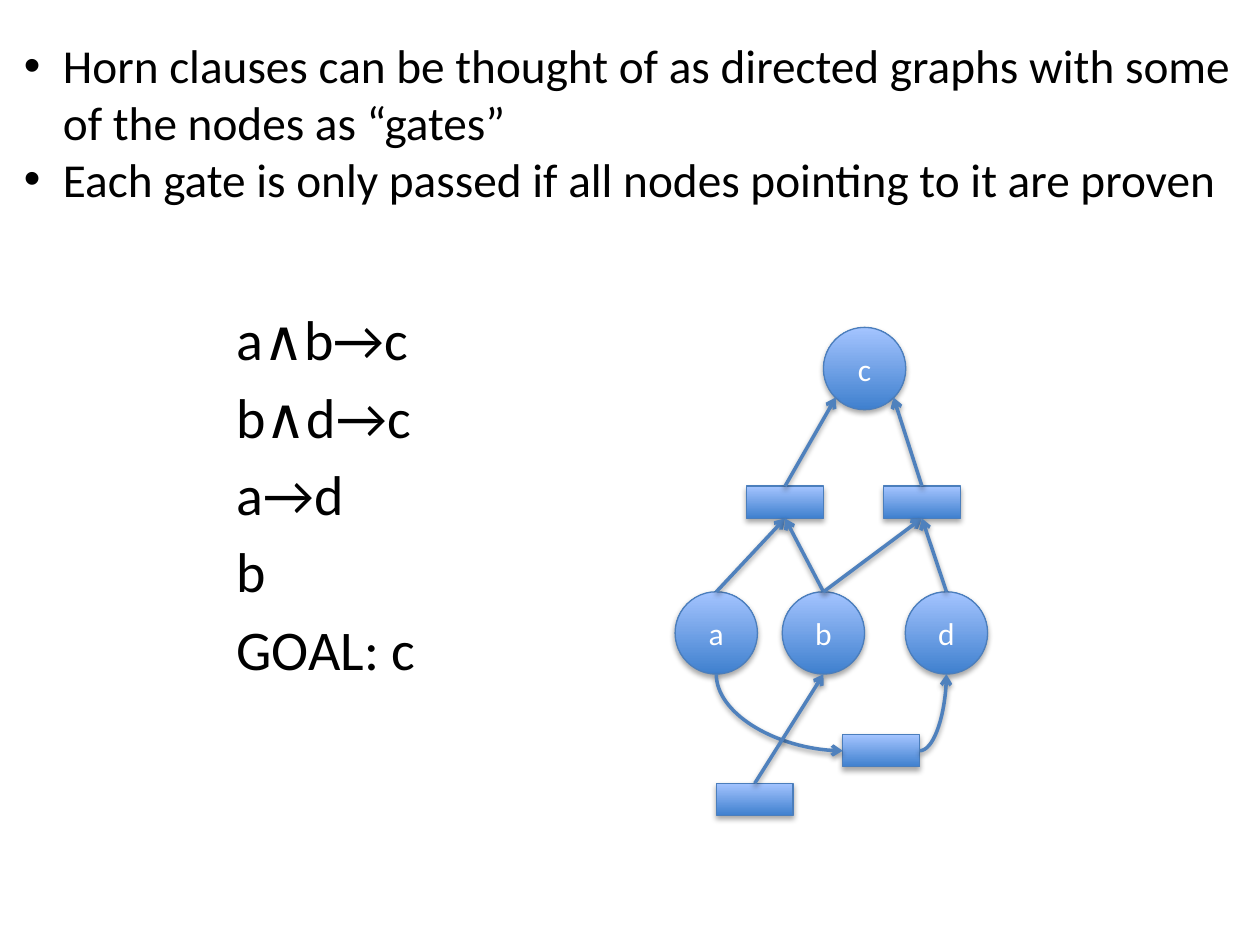
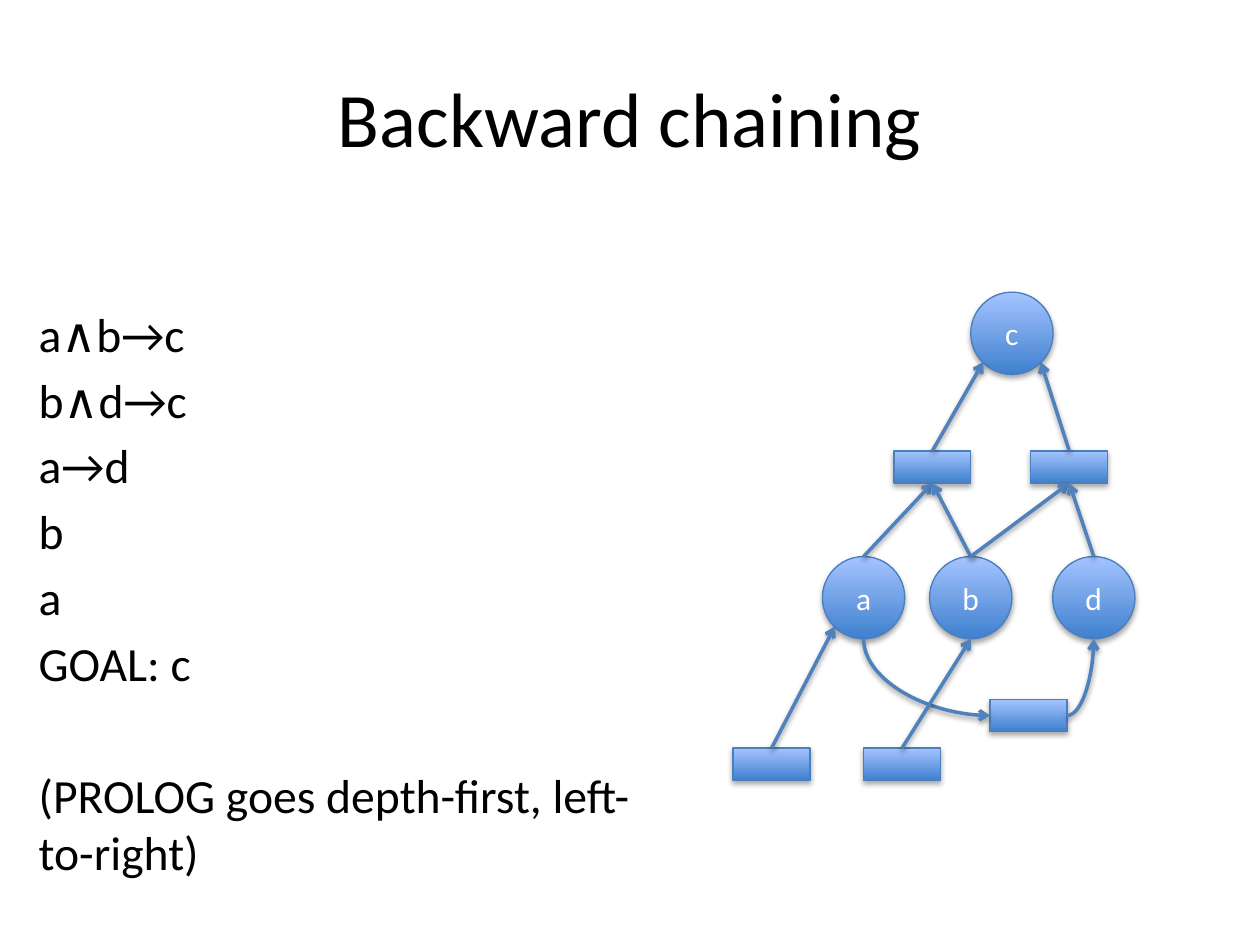
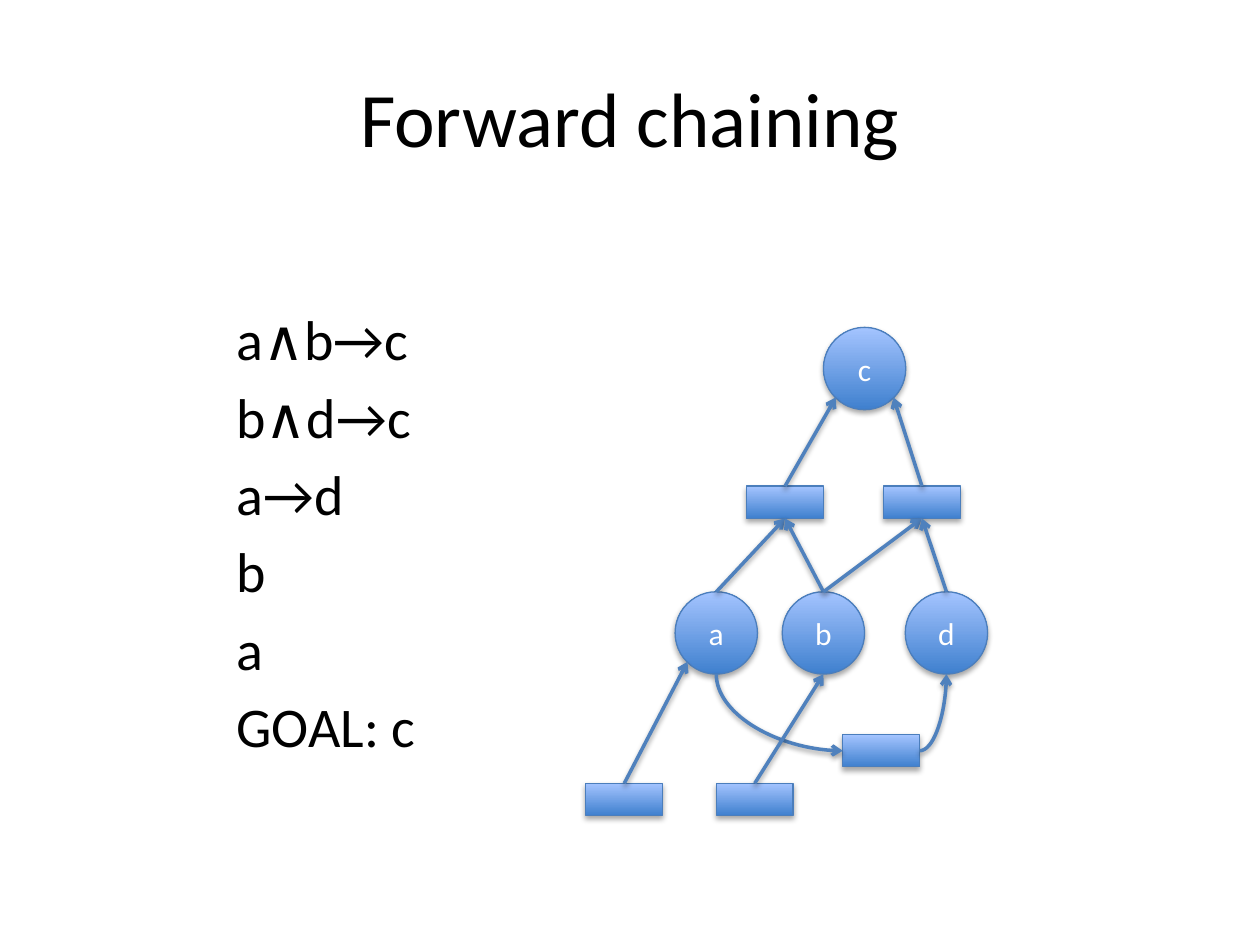
from lxml import etree
from pptx import Presentation
from pptx import util as u
from pptx.dml.color import RGBColor
from pptx.enum import shapes, text
from pptx.oxml.ns import qn

TOP, BOTTOM = (0.5, 0), (0.5, 1)
LOWER_LEFT, LOWER_RIGHT = (0.15, 0.85), (0.85, 0.85)
LEFT, RIGHT = (0, 0.5), (1, 0.5)


def rgb(value):
    """Turn a hex string into a colour."""
    return RGBColor.from_string(value)


def point(shape, spot):
    """Give the place of a relative spot on a shape."""
    return (int(shape.left + shape.width * spot[0]),
            int(shape.top + shape.height * spot[1]))


def cast_shadow(shape, distance, opacity):
    """Put a soft shadow below a shape or connector."""
    properties = shape._element.spPr
    effects = properties.find(qn("a:effectLst"))
    if effects is None:
        effects = etree.SubElement(properties, qn("a:effectLst"))
    shadow = etree.SubElement(effects, qn("a:outerShdw"), blurRad="40000",
                              dist=str(distance), dir="5400000", rotWithShape="0")
    black = etree.SubElement(shadow, qn("a:srgbClr"), val="000000")
    etree.SubElement(black, qn("a:alpha"), val=str(opacity * 1000))


class Deck:
    """Holds the style and the current slide."""

    font = "Calibri"
    ink, label, edge, outline = "000000", "FFFFFF", "4F81BD", "4B7EBC"
    shades = "3F80CE", "A4C4FF"
    circle = 1.66
    gate_size = 1.55, 0.65

    def __init__(self):
        """Start an empty 4:3 presentation."""
        self.show = Presentation()
        self.show.slide_width, self.show.slide_height = u.Cm(25.4), u.Cm(19.05)

    def new_slide(self):
        """Add a blank slide and make it current."""
        self.slide = self.show.slides.add_slide(self.show.slide_layouts[6])

    def style(self, paragraph, size, colour):
        """Format the runs of a paragraph."""
        for run in paragraph.runs:
            run.font.name, run.font.size = self.font, u.Pt(size)
            run.font.color.rgb = rgb(colour)

    def lines(self, box, content, size):
        """Add a wrapped text box with one paragraph per line."""
        frame = self.slide.shapes.add_textbox(*map(u.Cm, box)).text_frame
        frame.word_wrap = True
        frame.text = "\n".join(content)
        for paragraph in frame.paragraphs:
            self.style(paragraph, size, self.ink)
        return frame

    def title(self, heading):
        """Add the centred slide title."""
        frame = self.lines((1.27, 0.76, 22.86, 3.18), [heading], 44)
        frame.vertical_anchor = text.MSO_ANCHOR.MIDDLE
        frame.paragraphs[0].alignment = text.PP_ALIGN.CENTER

    def bullets(self, box, content, size):
        """Add a bulleted list."""
        indent = u.Cm(0.79)
        for paragraph in self.lines(box, content, size).paragraphs:
            properties = paragraph._p.get_or_add_pPr()
            properties.set("marL", str(indent))
            properties.set("indent", str(-indent))
            etree.SubElement(properties, qn("a:buFont"), typeface="Arial")
            etree.SubElement(properties, qn("a:buChar"), char="•")

    def clauses(self, left, width, content, size):
        """Add the list of Horn clauses with its goal."""
        frame = self.lines((left, 6.02, width, 10.11), content, size)
        for paragraph in frame.paragraphs[1:]:
            paragraph.space_before = u.Pt(round(size * 0.18, 1))
        return frame

    def filled(self, kind, left, top, width, height):
        """Add a shaded shape of the graph."""
        shape = self.slide.shapes.add_shape(kind, *map(u.Cm, (left, top, width, height)))
        shape.fill.gradient()
        shape.fill.gradient_angle = 90
        for stop, shade, position in zip(shape.fill.gradient_stops, self.shades, (0, 1)):
            stop.color.rgb, stop.position = rgb(shade), position
        shape.line.color.rgb, shape.line.width = rgb(self.outline), u.Pt(0.75)
        shape.shadow.inherit = False
        cast_shadow(shape, 23000, 35)
        return shape

    def node(self, name, left, top):
        """Add a lettered circle."""
        shape = self.filled(shapes.MSO_SHAPE.OVAL, left, top, self.circle, self.circle)
        frame = shape.text_frame
        frame.text = name
        frame.vertical_anchor = text.MSO_ANCHOR.MIDDLE
        frame.paragraphs[0].alignment = text.PP_ALIGN.CENTER
        self.style(frame.paragraphs[0], 18, self.label)
        return shape

    def gate(self, left, top):
        """Add a gate."""
        return self.filled(shapes.MSO_SHAPE.RECTANGLE, left, top, *self.gate_size)

    def arrow(self, start, end, kind=shapes.MSO_CONNECTOR.STRAIGHT):
        """Add an arrow between two points."""
        arrow = self.slide.shapes.add_connector(kind, *start, *end)
        arrow.line.color.rgb, arrow.line.width = rgb(self.edge), u.Pt(2)
        etree.SubElement(arrow._element.spPr.find(qn("a:ln")), qn("a:tailEnd"), type="arrow")
        cast_shadow(arrow, 20000, 38)
        return arrow

    def into_gate(self, node, gate):
        """Link the top of a node to the bottom of a gate."""
        arrow = self.arrow(point(node, TOP), point(gate, BOTTOM))
        arrow.begin_connect(node, 0)
        arrow.end_connect(gate, 2)

    def out_of_gate(self, gate, node, spot):
        """Link the top of a gate to a spot on a node."""
        self.arrow(point(gate, TOP), point(node, spot)).begin_connect(gate, 0)

    def bend(self, start, end, downward=False):
        """Add a quarter-turn arrow that leaves sideways or downward."""
        if downward:
            middle_x, middle_y = (start[0] + end[0]) // 2, (start[1] + end[1]) // 2
            half_w, half_h = (end[0] - start[0]) // 2, (end[1] - start[1]) // 2
            start = middle_x + half_h, middle_y - half_w
            end = middle_x - half_h, middle_y + half_w
        arrow = self.arrow(start, end, shapes.MSO_CONNECTOR.CURVE)
        properties = arrow._element.spPr
        properties.find(qn("a:prstGeom")).set("prst", "curvedConnector2")
        if downward:
            properties.find(qn("a:xfrm")).set("rot", "16200000")

    def graph(self, left, top, facts):
        """Draw the clause graph with a gate for each known fact."""
        places = {"a": (1.8, 5.33), "b": (3.96, 5.33), "c": (4.79, 0), "d": (6.44, 5.33)}
        nodes = {name: self.node(name, left + x, top + y) for name, (x, y) in places.items()}
        for premises, x, spot in (("ab", 3.24, LOWER_LEFT), ("bd", 6, LOWER_RIGHT)):
            gate = self.gate(left + x, top + 3.2)
            for premise in premises:
                self.into_gate(nodes[premise], gate)
            self.out_of_gate(gate, nodes["c"], spot)
        a_to_d = self.gate(left + 5.18, top + 8.21)
        self.bend(point(nodes["a"], BOTTOM), point(a_to_d, LEFT), downward=True)
        self.bend(point(a_to_d, RIGHT), point(nodes["d"], BOTTOM))
        fact_spots = {"a": (0, LOWER_LEFT), "b": (2.63, BOTTOM)}
        for fact in facts:
            x, spot = fact_spots[fact]
            self.out_of_gate(self.gate(left + x, top + 9.19), nodes[fact], spot)


def main():
    """Build the three slides on Horn clauses."""
    deck = Deck()
    rules = ["a∧b→c", "b∧d→c", "a→d"]
    goal = "GOAL: c"

    deck.new_slide()
    deck.clauses(4.52, 4.83, [*rules, "b", goal], 32)
    deck.graph(11.81, 6.6, "b")
    deck.bullets((0.23, 0.61, 24.84, 3.71), [
        "Horn clauses can be thought of as directed graphs with some of the nodes as “gates”",
        "Each gate is only passed if all nodes pointing to it are proven"], 27)

    deck.new_slide()
    deck.title("Backward chaining")
    order = "(PROLOG goes depth-first, left-to-right)"
    backward = deck.clauses(0.53, 12.83, [*rules, "b", "a", goal, order], 27.2)
    backward.paragraphs[-1].space_before = u.Pt(43)
    deck.graph(14.78, 5.89, "ba")

    deck.new_slide()
    deck.title("Forward chaining")
    deck.clauses(4.52, 4.83, [*rules, "b", "a", goal], 32)
    deck.graph(11.81, 6.6, "ba")

    deck.show.save("out.pptx")


if __name__ == "__main__":
    main()
